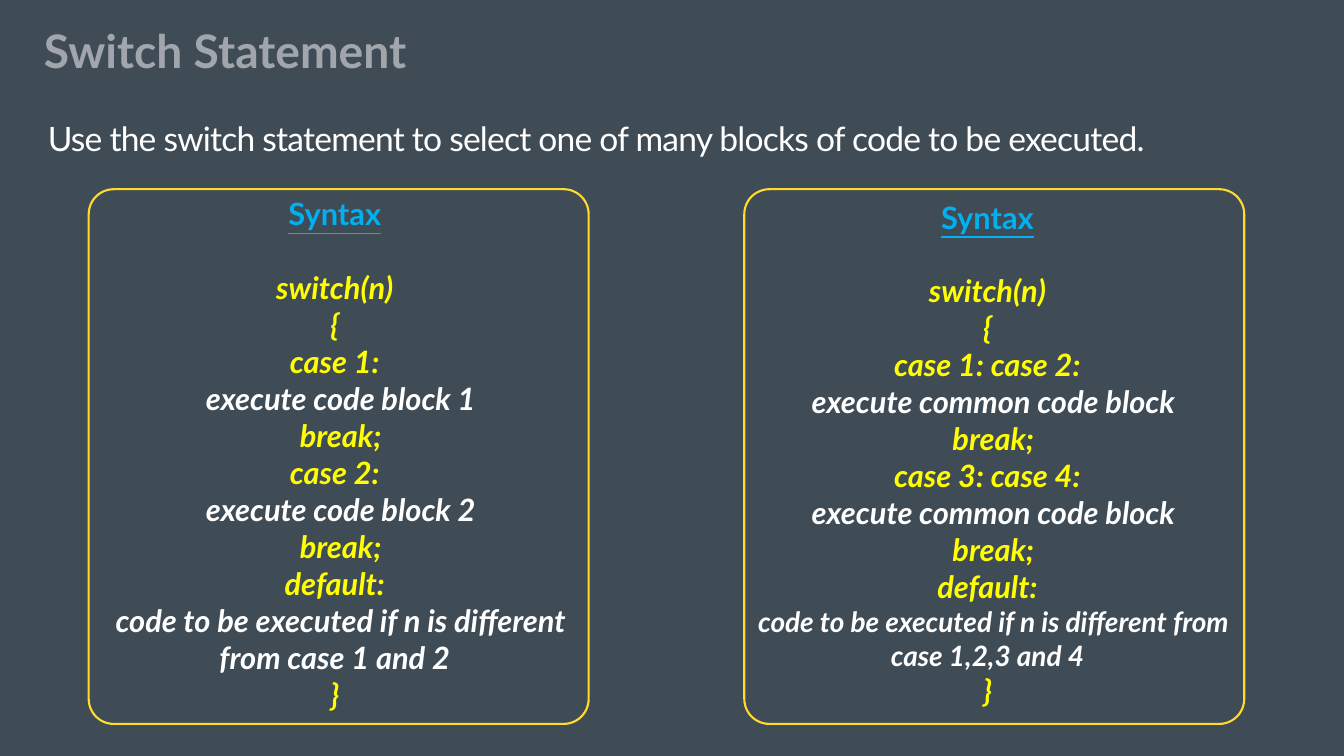
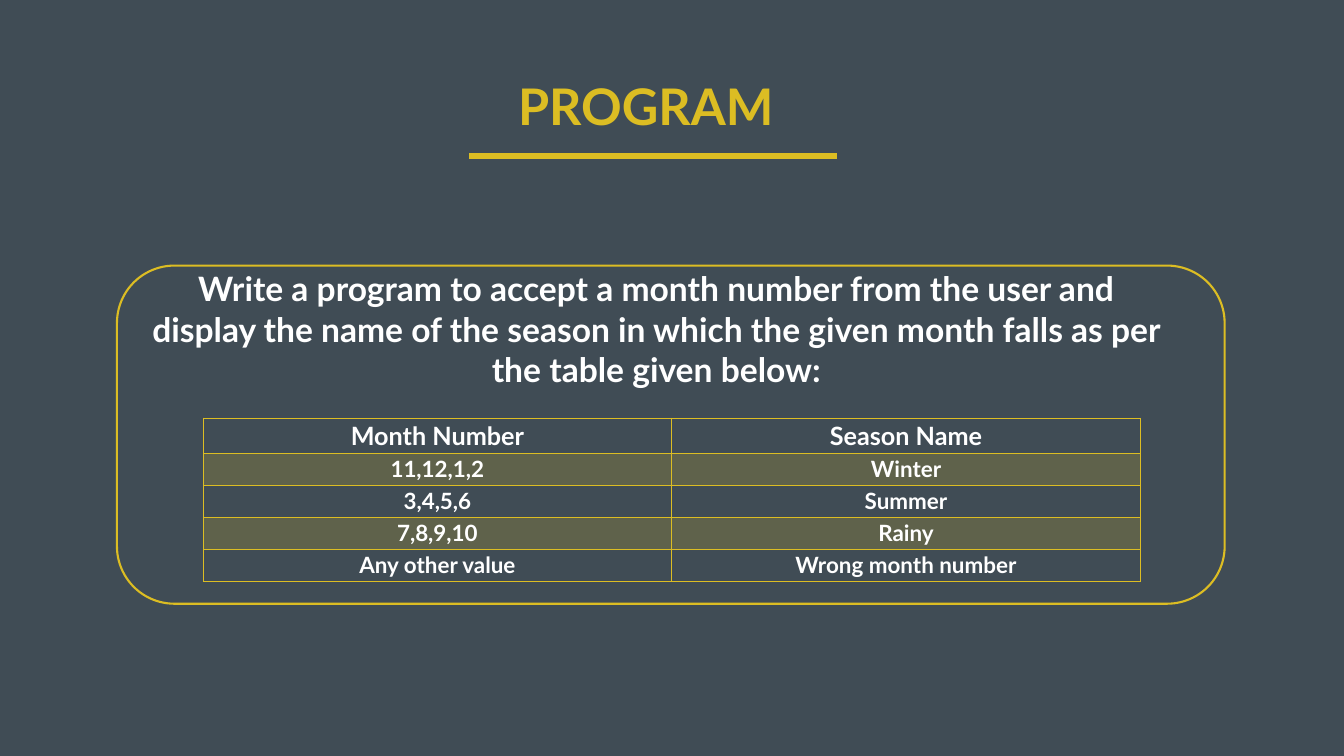
from lxml.etree import SubElement
from pptx import Presentation
from pptx.dml.color import RGBColor
from pptx.enum.shapes import MSO_CONNECTOR, MSO_SHAPE
from pptx.enum.text import MSO_ANCHOR, MSO_AUTO_SIZE, PP_ALIGN
from pptx.oxml.ns import qn
from pptx.util import Inches, Pt

# Shared look
FONT = "Lato"
SLATE = RGBColor(0x40, 0x4C, 0x55)
GREY = RGBColor(0xA1, 0xA6, 0xAC)
WHITE = RGBColor(0xFF, 0xFF, 0xFF)
AMBER = RGBColor(0xFF, 0xDB, 0x2C)
GOLD = RGBColor(0xDC, 0xBD, 0x23)
YELLOW = RGBColor(0xFF, 0xFF, 0x00)
BLUE = RGBColor(0x00, 0xB0, 0xF0)
LINE_GAP = 52.8  # one empty 44 pt line
INDENT = 17      # two spaces at 44 pt

# Content
SWITCH_TITLE = "Switch Statement"
SWITCH_LEAD = "Use the switch statement to select one of many blocks of code to be executed."
HEADING = dict(size=44, color=BLUE, underline=True)
START = dict(size=44, color=YELLOW, italic=True, before=LINE_GAP)
CODE = dict(size=44, color=YELLOW, italic=True)
BREAK = dict(CODE, indent=INDENT)
ACTION = dict(BREAK, color=WHITE)
SMALL_ACTION = dict(ACTION, size=40)
SYNTAX_PANELS = [
    [("Syntax", HEADING), ("switch(n)", START), ("{", CODE),
     ("case 1:", CODE), ("execute code block 1", ACTION), ("break;", BREAK),
     ("case 2:", CODE), ("execute code block 2", ACTION), ("break;", BREAK),
     ("default:", CODE),
     ("code to be executed if n is different from case 1 and 2", ACTION),
     ("}", CODE)],
    [("Syntax", HEADING), ("switch(n)", START), ("{", CODE),
     ("case 1: case 2:", CODE), ("execute common code block", ACTION), ("break;", BREAK),
     ("case 3: case 4:", CODE), ("execute common code block", ACTION), ("break;", BREAK),
     ("default:", CODE),
     ("code to be executed if n is different from case 1,2,3 and 4", SMALL_ACTION),
     ("}", CODE)],
]
PROGRAM_TITLE = "PROGRAM"
QUESTION = ("Write a program to accept a month number from the user and display the name of "
            "the season in which the given month falls as per the table given below:")
SEASONS = [
    ("Month Number", "Season Name"),
    ("11,12,1,2", "Winter"),
    ("3,4,5,6", "Summer"),
    ("7,8,9,10", "Rainy"),
    ("Any other value", "Wrong month number"),
]

prs = Presentation()
prs.slide_width, prs.slide_height = Inches(26.67), Inches(15)
background = prs.slide_master.background.fill
background.solid()
background.fore_color.rgb = SLATE


# Grid of 100 columns and 100 rows
def col(n):
    return round(prs.slide_width * n / 100)


def row(n):
    return round(prs.slide_height * n / 100)


def area(left, top, width, height):
    return col(left), row(top), col(width), row(height)


def add_text(frame, text, size=48, color=WHITE, bold=True, italic=False, underline=False,
             align=PP_ALIGN.CENTER, before=0, indent=0, leading=1.0, spacing=0):
    """Fill the first empty paragraph, or add one, with formatted text."""
    paragraph = frame.paragraphs[-1]
    if paragraph.runs:
        paragraph = frame.add_paragraph()
    properties = paragraph._p.get_or_add_pPr()
    properties.set("marL", "0")
    properties.set("indent", str(Pt(indent)))
    SubElement(properties, qn("a:buNone"))
    paragraph.alignment = align
    paragraph.space_before = Pt(before)
    paragraph.line_spacing = leading
    run = paragraph.add_run()
    run.text = text
    font = run.font
    font.name, font.size, font.color.rgb = FONT, Pt(size), color
    font.bold, font.italic, font.underline = bold, italic, underline
    if spacing:
        run._r.get_or_add_rPr().set("spc", str(round(spacing * 100)))


def prepare(frame, anchor, inset=None):
    frame.word_wrap = True
    frame.auto_size = MSO_AUTO_SIZE.NONE
    frame.vertical_anchor = anchor
    if inset is not None:
        frame.margin_left = frame.margin_right = Inches(inset)
        frame.margin_top = frame.margin_bottom = Inches(inset)
    return frame


def place(holder, position, anchor, inset=None):
    holder.left, holder.top, holder.width, holder.height = position
    return prepare(holder.text_frame, anchor, inset)


def add_frame(slide, position, color, corner):
    frame = slide.shapes.add_shape(MSO_SHAPE.ROUNDED_RECTANGLE, *position)
    frame.adjustments[0] = corner
    frame.shadow.inherit = False
    frame.fill.background()
    frame.line.color.rgb, frame.line.width = color, Pt(3)


def style_cell(cell, shaded, bottom_width):
    if shaded:
        cell.fill.solid()
        cell.fill.fore_color.rgb = GOLD
    else:
        cell.fill.background()
    properties = cell._tc.get_or_add_tcPr()
    if shaded:
        tint = properties.find(".//" + qn("a:srgbClr"))
        SubElement(tint, qn("a:alpha"), val="20000")
    for i, side in enumerate(("lnL", "lnR", "lnT", "lnB")):
        width = bottom_width if side == "lnB" else 1
        border = SubElement(properties, qn("a:" + side), w=str(Pt(width)))
        SubElement(SubElement(border, qn("a:solidFill")), qn("a:srgbClr"), val=str(GOLD))
        properties.insert(i, border)


# Slide 1: switch syntax
content_layout = prs.slide_layouts[1]
switch = prs.slides.add_slide(content_layout)
title = place(switch.shapes.title, area(3.26, 4.4, 82.34, 5.93), MSO_ANCHOR.MIDDLE, 0)
add_text(title, SWITCH_TITLE, size=66, color=GREY, align=PP_ALIGN.LEFT, leading=0.8)
lead = place(switch.placeholders[1], area(3.26, 15, 96.74, 6.47), MSO_ANCHOR.MIDDLE, 0.08)
add_text(lead, SWITCH_LEAD, bold=False, align=PP_ALIGN.LEFT, spacing=-1.1)

for i, lines in enumerate(SYNTAX_PANELS):
    add_frame(switch, area(6.6 + 48.78 * i, 25.03, 37.2, 70.73), AMBER, 0.05)
    code_box = switch.shapes.add_textbox(*area(5.85 + 48.56 * i, 25.03, 38.13, 69.93))
    syntax = prepare(code_box.text_frame, MSO_ANCHOR.MIDDLE, 0.08)
    for text, look in lines:
        add_text(syntax, text, **look)

# Slide 2: season program
program = prs.slides.add_slide(content_layout)
title = place(program.shapes.title, area(38.17, 9.6, 20.55, 8.73), MSO_ANCHOR.TOP)
add_text(title, PROGRAM_TITLE, size=72, color=GOLD, align=PP_ALIGN.LEFT)
underline = program.shapes.add_connector(
    MSO_CONNECTOR.STRAIGHT, col(34.91), row(20.67), col(62.28), row(20.67))
underline.line.color.rgb, underline.line.width = GOLD, Pt(8)
SubElement(underline._element.spPr, qn("a:effectLst"))

question = place(program.placeholders[1], area(10.42, 35.13, 76.83, 22.2), MSO_ANCHOR.TOP)
add_text(question, QUESTION)
add_frame(program, area(8.7, 35.13, 82.42, 44.73), GOLD, 0.17)

# Season table
seasons = program.shapes.add_table(
    len(SEASONS), len(SEASONS[0]), *area(15.11, 55.27, 69.74, 21.6)).table
seasons.first_row = seasons.horz_banding = False
for r, values in enumerate(SEASONS):
    header = r == 0
    seasons.rows[r].height = row(4.67 if header else 4.23)
    for c, value in enumerate(values):
        cell = seasons.cell(r, c)
        style_cell(cell, shaded=r % 2 == 1, bottom_width=2 if header else 1)
        add_text(cell.text_frame, value, size=36 if header else 32)

prs.save("out.pptx")
